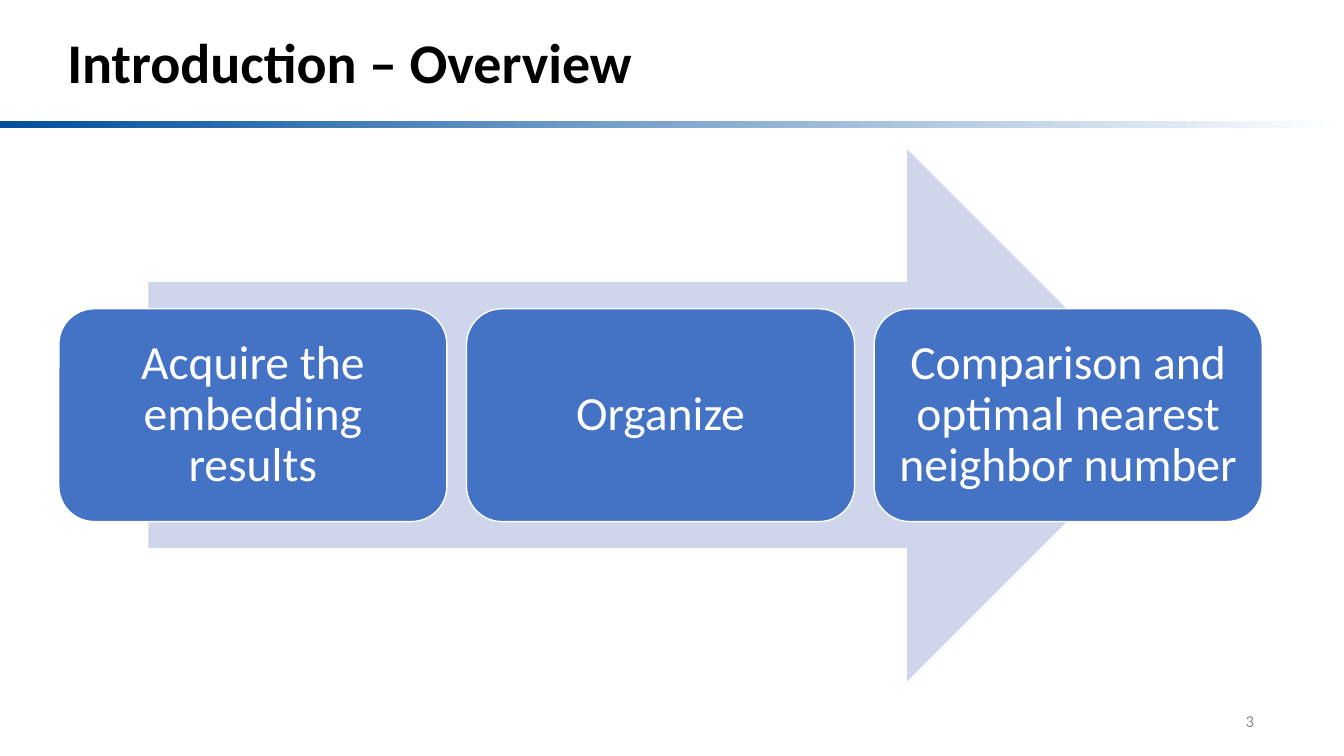
import pptx
import pptx.util
import pptx.dml.color
import pptx.enum.shapes
import pptx.enum.text

Pt = pptx.util.Pt
RGBColor = pptx.dml.color.RGBColor
MSO_SHAPE = pptx.enum.shapes.MSO_SHAPE
PP_ALIGN = pptx.enum.text.PP_ALIGN

TITLE = "Introduction – Overview"
STEPS = [
    "Acquire the embedding results",
    "Organize",
    "Comparison and optimal nearest neighbor number",
]
PAGE_NUMBER = "3"

FONT = "Calibri"
BLACK = RGBColor(0x00, 0x00, 0x00)
WHITE = RGBColor(0xFF, 0xFF, 0xFF)
GRAY = RGBColor(0x8C, 0x8C, 0x8C)
NAVY = RGBColor(0x00, 0x4F, 0x9C)
BLUE = RGBColor(0x44, 0x72, 0xC4)
PALE_BLUE = RGBColor(0xCF, 0xD5, 0xEA)

SLIDE_WIDTH, SLIDE_HEIGHT = 960, 540
ARROW_LEFT, ARROW_TOP, ARROW_WIDTH, ARROW_HEIGHT = 106, 106.6, 732, 380
STEP_LEFT, STEP_WIDTH, STEP_HEIGHT, STEP_GAP = 42, 277.2, 152, 14
STEP_TOP = ARROW_TOP + (ARROW_HEIGHT - STEP_HEIGHT) / 2


def add_shape(slide, kind, left, top, width, height):
    shape = slide.shapes.add_shape(kind, Pt(left), Pt(top), Pt(width), Pt(height))
    shape.shadow.inherit = False
    shape.line.fill.background()
    return shape


def set_text(shape, text, size, color, alignment, line_spacing=1.0, bold=False):
    frame = shape.text_frame
    frame.text = text
    frame.word_wrap = True
    frame.vertical_anchor = pptx.enum.text.MSO_ANCHOR.MIDDLE
    paragraph = frame.paragraphs[0]
    paragraph.alignment = alignment
    paragraph.line_spacing = line_spacing
    font = paragraph.runs[0].font
    font.name = FONT
    font.size = Pt(size)
    font.bold = bold
    font.color.rgb = color


def add_divider(slide):
    divider = add_shape(slide, MSO_SHAPE.RECTANGLE, 0, 86.7, SLIDE_WIDTH, 5)
    divider.fill.gradient()
    divider.fill.gradient_angle = 0
    for stop, color in zip(divider.fill.gradient_stops, (NAVY, WHITE)):
        stop.color.rgb = color


def add_step(slide, index, text):
    left = STEP_LEFT + index * (STEP_WIDTH + STEP_GAP)
    step = add_shape(slide, MSO_SHAPE.ROUNDED_RECTANGLE, left, STEP_TOP, STEP_WIDTH, STEP_HEIGHT)
    step.fill.solid()
    step.fill.fore_color.rgb = BLUE
    step.line.color.rgb = WHITE
    step.line.width = Pt(1)
    set_text(step, text, 34, WHITE, PP_ALIGN.CENTER, line_spacing=0.9)
    frame = step.text_frame
    frame.margin_left = frame.margin_right = Pt(10)
    frame.margin_top = frame.margin_bottom = Pt(10)


def main():
    presentation = pptx.Presentation()
    presentation.slide_width = Pt(SLIDE_WIDTH)
    presentation.slide_height = Pt(SLIDE_HEIGHT)
    slide = presentation.slides.add_slide(presentation.slide_layouts[6])

    add_divider(slide)
    title = slide.shapes.add_textbox(Pt(41), Pt(15), Pt(828), Pt(64))
    set_text(title, TITLE, 40, BLACK, PP_ALIGN.LEFT, line_spacing=0.9, bold=True)

    arrow = add_shape(slide, MSO_SHAPE.RIGHT_ARROW, ARROW_LEFT, ARROW_TOP, ARROW_WIDTH, ARROW_HEIGHT)
    arrow.fill.solid()
    arrow.fill.fore_color.rgb = PALE_BLUE
    for index, text in enumerate(STEPS):
        add_step(slide, index, text)

    page_number = slide.shapes.add_textbox(Pt(687), Pt(500.5), Pt(216), Pt(28.8))
    set_text(page_number, PAGE_NUMBER, 12, GRAY, PP_ALIGN.RIGHT)

    presentation.save("out.pptx")


if __name__ == "__main__":
    main()
